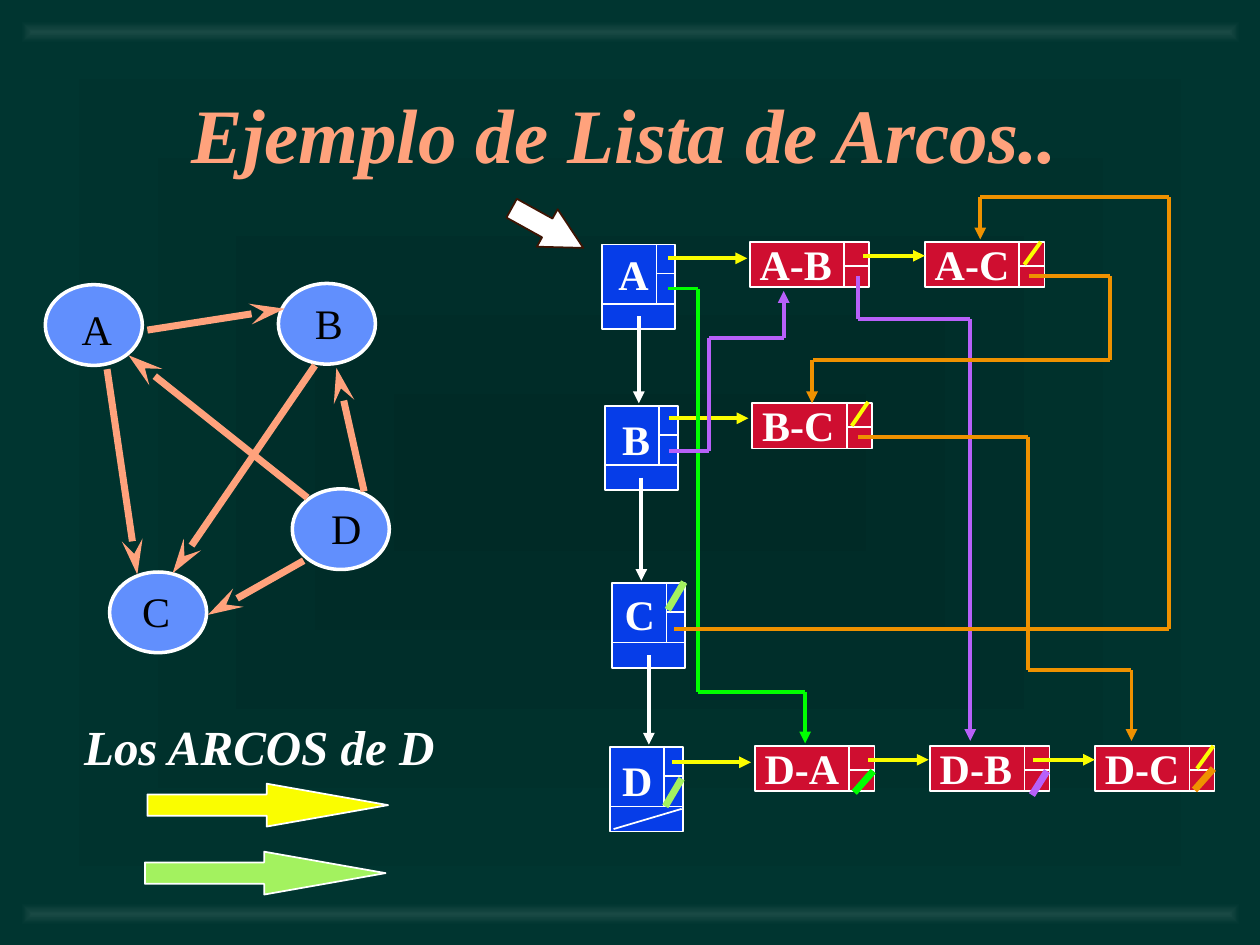
from lxml.etree import SubElement
from pptx import Presentation
from pptx.dml.color import RGBColor
from pptx.enum.shapes import MSO_CONNECTOR, MSO_SHAPE
from pptx.enum.text import MSO_ANCHOR, MSO_AUTO_SIZE, PP_ALIGN
from pptx.oxml.ns import qn
from pptx.util import Cm, Pt

FONT = "Times New Roman"
WHITE, BLACK, BLUE, RED = "FFFFFF", "000000", "063DE8", "CF0E30"
SKY, PEACH, YELLOW, LIME = "618FFD", "FFA27C", "FAFD00", "A3F25F"
GREEN, VIOLET, ORANGE = "00FF00", "B760F9", "EF9100"
BOLD_LINE = 2.25

# All places below are in inches: x, y
# Graph: letter, ellipse corner, letter corner
NODES = [
    ("A", (0.36, 2.26), (0.55, 2.36)),
    ("B", (2.21, 2.25), (2.40, 2.31)),
    ("C", (0.87, 4.54), (1.03, 4.60)),
    ("D", (2.32, 3.88), (2.53, 3.94)),
]
EDGES = [
    ((1.17, 2.62), (2.26, 2.45)),
    ((2.44, 3.95), (1.02, 2.82)),
    ((2.50, 2.90), (1.37, 4.55)),
    ((2.41, 4.45), (1.65, 4.88)),
    ((0.85, 2.93), (1.09, 4.56)),
    ((2.89, 3.90), (2.67, 2.92)),
]
# Vertex list: letter, box corner, letter corner
VERTS = [
    ("A", (4.78, 1.94), (4.81, 1.92)),
    ("B", (4.80, 3.22), (4.84, 3.23)),
    ("C", (4.86, 4.63), (4.86, 4.62)),
    ("D", (4.84, 5.93), (4.84, 5.94)),
]
ARCS = [
    ("A-B", 5.95, 1.92), ("A-C", 7.34, 1.92), ("B-C", 5.97, 3.20),
    ("D-A", 5.99, 5.92), ("D-B", 7.38, 5.92), ("D-C", 8.69, 5.92),
]
# Links: colour, corner points; the last point has the arrowhead
LINKS = [
    (YELLOW, [(5.30, 2.05), (5.93, 2.05)]),
    (YELLOW, [(6.85, 2.03), (7.34, 2.03)]),
    (YELLOW, [(5.31, 3.32), (5.94, 3.32)]),
    (YELLOW, [(5.33, 6.05), (5.96, 6.05)]),
    (YELLOW, [(6.89, 6.03), (7.37, 6.03)]),
    (YELLOW, [(8.20, 6.03), (8.69, 6.03)]),
    (GREEN, [(5.30, 2.29), (5.54, 2.29), (5.54, 5.49), (6.39, 5.49), (6.39, 5.90)]),
    (VIOLET, [(5.31, 3.58), (5.63, 3.58), (5.63, 2.68), (6.22, 2.68), (6.22, 2.31)]),
    (VIOLET, [(6.81, 2.19), (6.81, 2.53), (7.70, 2.53), (7.70, 5.88)]),
    (ORANGE, [(5.35, 4.99), (9.28, 4.99), (9.28, 1.56), (7.78, 1.56), (7.78, 1.90)]),
    (ORANGE, [(8.17, 2.19), (8.81, 2.19), (8.81, 2.86), (6.45, 2.86), (6.45, 3.20)]),
    (ORANGE, [(6.81, 3.47), (8.16, 3.47), (8.16, 5.32), (8.98, 5.32), (8.98, 5.88)]),
]
# Strokes that mark a null link: colour, width, from, to
NULLS = [
    (WHITE, 1, (4.87, 6.58), (5.41, 6.42)),
    (LIME, 4, (5.30, 4.84), (5.43, 4.62)),
    (LIME, 4, (5.28, 6.40), (5.41, 6.18)),
    (YELLOW, BOLD_LINE, (8.13, 2.10), (8.26, 1.92)),
    (YELLOW, BOLD_LINE, (6.76, 3.38), (6.89, 3.19)),
    (YELLOW, BOLD_LINE, (9.50, 6.10), (9.63, 5.92)),
    (GREEN, 4, (6.78, 6.29), (6.93, 6.12)),
    (VIOLET, 4, (8.19, 6.31), (8.31, 6.12)),
    (ORANGE, 4, (9.48, 6.27), (9.63, 6.10)),
]
# Block arrows: box, head length, turn, fill, line
BLOCKS = [
    ((4.02, 1.64, 0.65, 0.34), 0.96, 29, WHITE, "3E1403"),
    ((1.17, 6.22, 1.91, 0.34), 2.83, 0, YELLOW, WHITE),
    ((1.15, 6.76, 1.91, 0.34), 2.83, 0, LIME, WHITE),
]


def size(*vals):
    """Turn inches into Cm lengths."""
    return [Cm(2.54 * v) for v in vals]


def tint(code):
    return RGBColor.from_string(code)


def glow(fill, root, mid, rim):
    """Fill with a gradient that runs from the centre out to the rim."""
    fill.gradient()
    for stop, code in zip(fill.gradient_stops, (mid, rim)):
        stop.color.rgb = tint(code)
    for lin in list(root.iter(qn("a:lin"))):
        grad = lin.getparent()
        grad.remove(lin)
        ring = SubElement(grad, qn("a:path"), path="rect")
        SubElement(ring, qn("a:fillToRect"), {s: "50000" for s in "ltrb"})


def shape(on, kind, box, fill, line=WHITE, width=1):
    item = on.add_shape(kind, *size(*box))
    item.shadow.inherit = False
    item.fill.solid()
    item.fill.fore_color.rgb = tint(fill)
    item.line.color.rgb = tint(line)
    item.line.width = Pt(width)
    return item


def line(on, start, end, code=WHITE, width=1, head=None, reach="med"):
    item = on.add_connector(MSO_CONNECTOR.STRAIGHT, *size(*start, *end))
    item.line.color.rgb = tint(code)
    item.line.width = Pt(width)
    if head:
        SubElement(item.line._get_or_add_ln(), qn("a:tailEnd"),
                   type=head, w="med", len=reach)
    SubElement(item._element.spPr, qn("a:effectLst"))
    return item


def write(para, words, code, points, bold=True, slant=False):
    run = para.add_run()
    run.text = words
    font = run.font
    font.name, font.size = FONT, Pt(points)
    font.bold, font.italic = bold, slant
    font.color.rgb = tint(code)


def label(on, spot, words, code=WHITE, points=24, box=(0.44, 0.5), **style):
    frame = on.add_textbox(*size(*spot, *box)).text_frame
    frame.word_wrap = False
    frame.auto_size = MSO_AUTO_SIZE.SHAPE_TO_FIT_TEXT
    write(frame.paragraphs[0], words, code, points, **style)


deck = Presentation()
deck.slide_width, deck.slide_height = size(10, 7.5)
slide = deck.slides.add_slide(deck.slide_layouts[5])
art = slide.shapes
glow(slide.background.fill, slide._element, "002A26", "003530")

for y in (0.17, 7.17):
    bar = shape(art, MSO_SHAPE.RECTANGLE, (0.17, y, 9.67, 0.17), BLACK)
    bar.line.fill.background()
    glow(bar.fill, bar._element, "194944", "003530")

title = art.title
title.left, title.top, title.width, title.height = size(0.33, 0.43, 9.26, 1.25)
title.text_frame.vertical_anchor = MSO_ANCHOR.MIDDLE
para = title.text_frame.paragraphs[0]
para.alignment = PP_ALIGN.CENTER
write(para, "Ejemplo de Lista de Arcos..", PEACH, 44, slant=True)

for _, spot, _ in NODES:
    shape(art, MSO_SHAPE.OVAL, (*spot, 0.77, 0.64), SKY, width=2)
for start, end in EDGES:
    line(art, start, end, PEACH, 4, "stealth", "lg")
for name, _, spot in NODES:
    label(art, spot, name, BLACK, bold=False)

for i, (name, (x, y), spot) in enumerate(VERTS):
    shape(art, MSO_SHAPE.RECTANGLE, (x, y, 0.58, 0.67), BLUE)
    line(art, (x, y + 0.47), (x + 0.58, y + 0.47))
    line(art, (x + 0.43, y), (x + 0.43, y + 0.47))
    line(art, (x + 0.43, y + 0.23), (x + 0.58, y + 0.23))
    label(art, spot, name)
    if i + 1 < len(VERTS):
        below = VERTS[i + 1][1][1]
        line(art, (x + 0.29, y + 0.57), (x + 0.29, below - 0.02),
             WHITE, BOLD_LINE, "triangle")

cells = {}
for name, x, y in ARCS:
    group = art.add_group_shape().shapes
    cells[name] = shape(group, MSO_SHAPE.RECTANGLE, (x, y, 0.95, 0.36), RED)
    line(group, (x + 0.75, y), (x + 0.75, y + 0.36))
    line(group, (x + 0.75, y + 0.19), (x + 0.95, y + 0.19))
    label(art, (x - 0.02, y - 0.08), name, box=(0.81, 0.5))

for code, spots in LINKS:
    for i, (start, end) in enumerate(zip(spots, spots[1:]), 2):
        head = "triangle" if i == len(spots) else None
        part = line(art, start, end, code, BOLD_LINE, head)
    if spots[-1] == (6.45, 3.20):
        part.end_connect(cells["B-C"], 0)
        part.begin_x = part.end_x
for code, width, start, end in NULLS:
    line(art, start, end, code, width)

label(art, (0.57, 5.64), "Los ARCOS de D", points=28, box=(3, 0.57), slant=True)
for box, tip, turn, fill, edge in BLOCKS:
    block = shape(art, MSO_SHAPE.RIGHT_ARROW, box, fill, edge)
    block.adjustments[1] = tip
    block.rotation = turn

deck.save("out.pptx")
